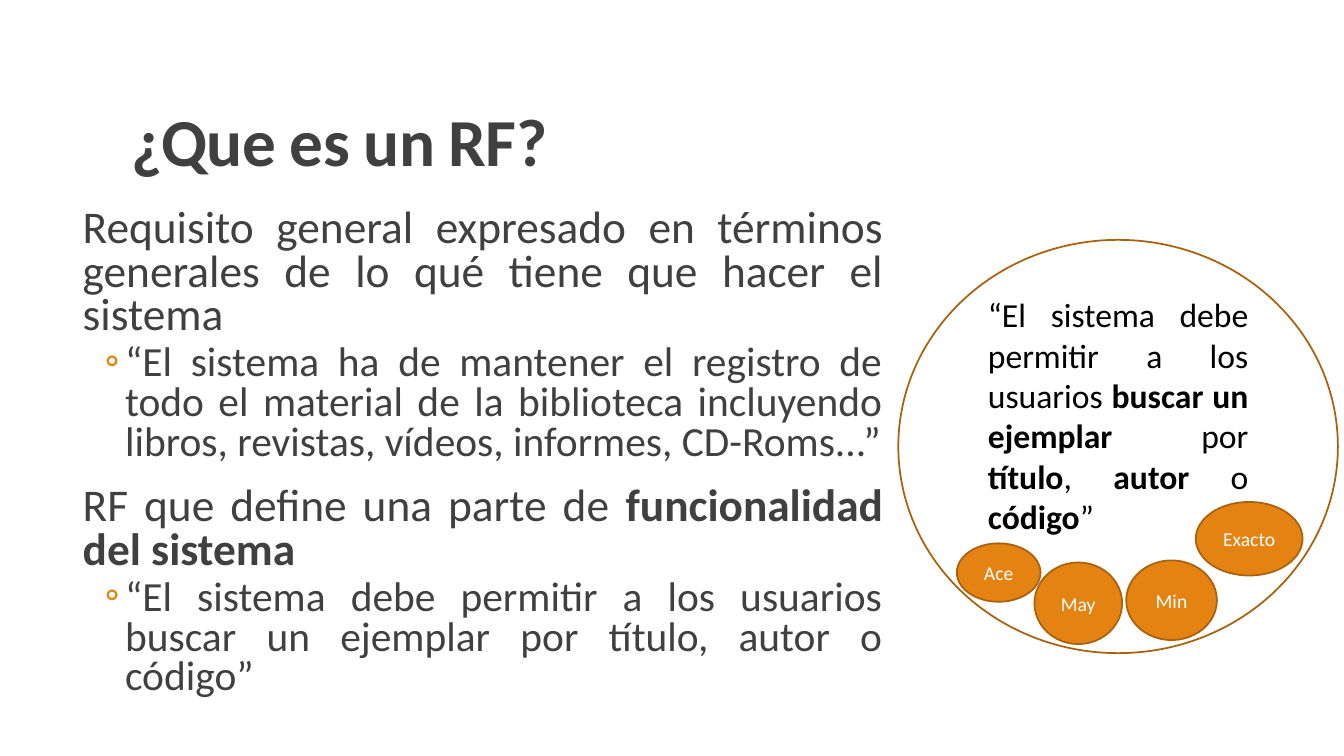
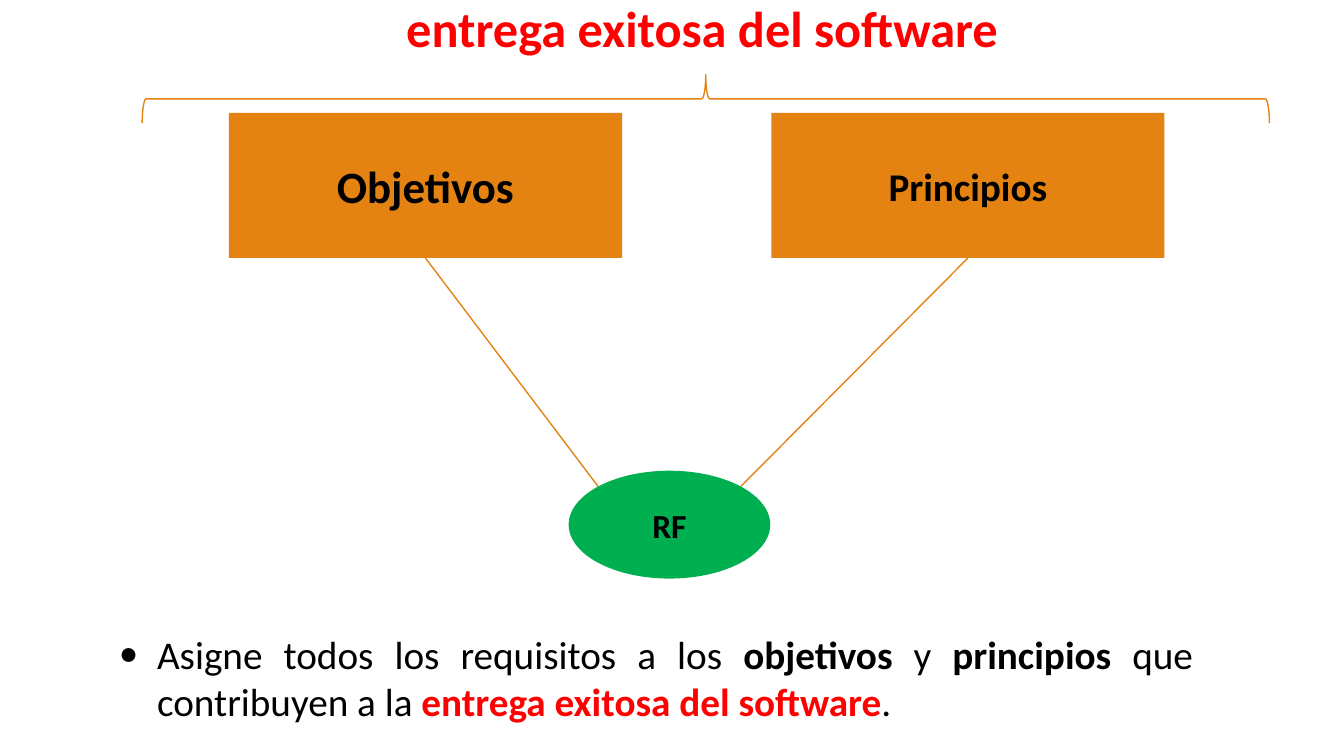
from math import sqrt

from lxml import etree
from pptx import Presentation
from pptx.dml.color import RGBColor
from pptx.enum.shapes import MSO_CONNECTOR, MSO_SHAPE
from pptx.enum.text import MSO_ANCHOR, MSO_AUTO_SIZE, PP_ALIGN
from pptx.oxml.ns import qn
from pptx.util import Inches, Pt

FONT = "Calibri"
ORANGE = RGBColor(0xE4, 0x83, 0x12)
BROWN = RGBColor(0xA9, 0x61, 0x0D)
GREEN = RGBColor(0x00, 0xB0, 0x50)
RED = RGBColor(0xFF, 0x00, 0x00)
GRAY = RGBColor(0x40, 0x40, 0x40)
BLACK = RGBColor(0x00, 0x00, 0x00)
WHITE = RGBColor(0xFF, 0xFF, 0xFF)
SUCCESS = "entrega exitosa del software"


def write(p, text, size=24, color=BLACK, bold=False, align=PP_ALIGN.LEFT, spacing=None):
    """Text is a string or a list of strings and (string, bold, color) tuples."""
    p.alignment = align
    for part in [text] if isinstance(text, str) else text:
        words, strong, tint = (part, bold, color) if isinstance(part, str) else part
        r = p.add_run()
        r.text = words
        r.font.name, r.font.size = FONT, Pt(size)
        r.font.bold, r.font.color.rgb = strong, tint
        if spacing is not None:
            r.font._element.set("spc", str(int(spacing * 100)))


def set_bullet(p, char=None, color=None, margin=0, indent=0):
    pPr = p._p.get_or_add_pPr()
    pPr.set("marL", str(Inches(margin)))
    pPr.set("indent", str(Inches(indent)))
    if color is not None:
        clr = etree.SubElement(pPr, qn("a:buClr"))
        etree.SubElement(clr, qn("a:srgbClr")).set("val", str(color))
    if char:
        etree.SubElement(pPr, qn("a:buFont")).set("typeface", FONT)
        etree.SubElement(pPr, qn("a:buChar")).set("char", char)
    else:
        etree.SubElement(pPr, qn("a:buNone"))


def place(sp, x, y, w, h):
    sp.left, sp.top, sp.width, sp.height = (Inches(v) for v in (x, y, w, h))


def add_text(slide, box, text, wrap=True, **fmt):
    tf = slide.shapes.add_textbox(*(Inches(v) for v in box)).text_frame
    tf.word_wrap = wrap
    tf.auto_size = MSO_AUTO_SIZE.SHAPE_TO_FIT_TEXT
    write(tf.paragraphs[0], text, **fmt)
    return tf.paragraphs[0]


def add_figure(slide, kind, box, fill=None, line=None, width=1.25, text="", inset=None, **fmt):
    sp = slide.shapes.add_shape(kind, *(Inches(v) for v in box))
    sp.shadow.inherit = False
    if fill is None:
        sp.fill.background()
    else:
        sp.fill.solid()
        sp.fill.fore_color.rgb = fill
    if line is None:
        sp.line.fill.background()
    else:
        sp.line.color.rgb = line
        sp.line.width = Pt(width)
    if text:
        tf = sp.text_frame
        tf.word_wrap = True
        tf.vertical_anchor = MSO_ANCHOR.MIDDLE
        if inset is not None:
            tf.margin_left = tf.margin_right = tf.margin_top = tf.margin_bottom = Inches(inset)
        write(tf.paragraphs[0], text, align=PP_ALIGN.CENTER, **fmt)
    return sp


def add_line(slide, x1, y1, x2, y2):
    line = slide.shapes.add_connector(MSO_CONNECTOR.STRAIGHT, *(Inches(v) for v in (x1, y1, x2, y2)))
    line.line.color.rgb = ORANGE
    line.line.width = Pt(1)
    etree.SubElement(line._element.spPr, qn("a:effectLst"))


def fill_title(title, text):
    place(title, 1.2, 0.25, 11, 1.59)
    tf = title.text_frame
    tf.auto_size = MSO_AUTO_SIZE.NONE
    tf.vertical_anchor = MSO_ANCHOR.BOTTOM
    p = tf.paragraphs[0]
    p.line_spacing = 0.85
    write(p, text, size=48, color=GRAY, bold=True, spacing=-0.5)


def fill_body(body, items):
    place(body, 0.82, 2.02, 7.94, 5.48)
    tf = body.text_frame
    tf.auto_size = MSO_AUTO_SIZE.NONE
    tf.margin_left = tf.margin_right = 0
    for i, (level, text) in enumerate(items):
        p = tf.add_paragraph() if i else tf.paragraphs[0]
        p.level = level
        p.line_spacing = 0.8
        p.space_before, p.space_after = (Pt(2), Pt(4)) if level else (Pt(12), Pt(2))
        write(p, text, size=29.6 if level else 32.4, color=GRAY, align=PP_ALIGN.JUSTIFY)
        if level:
            set_bullet(p, "◦", ORANGE, 0.42, -0.2)
        else:
            set_bullet(p)


def add_example(slide, x, y, w, h):
    p = add_text(slide, (x + 0.29, y + 0.49, 3.28, 2.52), [
        "“El sistema debe permitir a los usuarios ", ("buscar un ejemplar ", True, BLACK),
        "por ", ("título", True, BLACK), ", ", ("autor", True, BLACK), " o ",
        ("código", True, BLACK), "”"], align=PP_ALIGN.JUSTIFY)
    set_bullet(p, margin=0.5)
    add_figure(slide, MSO_SHAPE.OVAL, (x, y, w, h), line=BROWN)
    for label, dx, dy, dw, dh in (
        ("May", 1.35, 3.2, 0.87, 0.81),
        ("Min", 2.26, 3.18, 0.9, 0.79),
        ("Ace", 0.58, 3.01, 0.83, 0.58),
        ("Exacto", 2.95, 2.6, 1.06, 0.73),
    ):
        add_figure(slide, MSO_SHAPE.OVAL, (x + dx, y + dy, dw, dh), fill=ORANGE, line=BROWN,
                   text=label, size=14, color=WHITE)


def add_diagram(slide, x, y, w, h):
    box_w, box_h, oval_w, oval_h = 3.9, 1.44, 2, 1.07
    oval_x, oval_y = x + 3.37, y + h - oval_h
    cx, cy = oval_x + oval_w / 2, oval_y + oval_h / 2
    reach = sqrt(0.5) / 2
    for label, size, left, side in (("Objetivos", 32, x, -1), ("Principios", 28, x + w - box_w, 1)):
        add_figure(slide, MSO_SHAPE.RECTANGLE, (left, y, box_w, box_h), fill=ORANGE,
                   text=label, inset=0, size=size, bold=True)
        add_line(slide, cx + side * reach * oval_w, cy - reach * oval_h,
                 left + box_w / 2, y + box_h)
    add_figure(slide, MSO_SHAPE.OVAL, (oval_x, oval_y, oval_w, oval_h), fill=GREEN,
               text="RF", inset=0, bold=True)


def add_brace(slide, x, y, w, h):
    upright = (x + (w - h) / 2, y + (h - w) / 2, h, w)
    add_figure(slide, MSO_SHAPE.RIGHT_BRACE, upright, line=ORANGE, width=1).rotation = 270


def build_definition(prs):
    slide = prs.slides.add_slide(prs.slide_layouts[1])
    fill_title(slide.shapes.title, "¿Que es un RF?")
    fill_body(slide.placeholders[1], [
        (0, "Requisito general expresado en términos generales de lo qué tiene que hacer el sistema"),
        (1, "“El sistema ha de mantener el registro de todo el material de la biblioteca "
            "incluyendo libros, revistas, vídeos, informes, CD-Roms...”"),
        (0, ["RF que define una parte de ", ("funcionalidad del sistema", True, GRAY)]),
        (1, "“El sistema debe permitir a los usuarios buscar un ejemplar por título, autor o código”"),
    ])
    add_example(slide, 8.91, 2.38, 4.36, 4.1)


def build_success(prs):
    slide = prs.slides.add_slide(prs.slide_layouts[6])
    add_diagram(slide, 2.27, 1.12, 9.28, 4.62)
    p = add_text(slide, (1.08, 6.2, 10.85, 1.04), [
        "Asigne todos los requisitos a los ", ("objetivos", True, BLACK), " y ",
        ("principios", True, BLACK), " que contribuyen a la ", (SUCCESS, True, RED), "."],
        size=28, align=PP_ALIGN.JUSTIFY)
    set_bullet(p, "•", margin=0.38, indent=-0.38)
    add_text(slide, (3.93, -0.08, 6.15, 0.71), SUCCESS, wrap=False, size=36, color=RED, bold=True)
    add_brace(slide, 1.41, 0.74, 11.18, 0.48)


def main():
    prs = Presentation()
    prs.slide_width, prs.slide_height = Inches(13.33), Inches(7.5)
    build_definition(prs)
    build_success(prs)
    prs.save("out.pptx")


if __name__ == "__main__":
    main()
